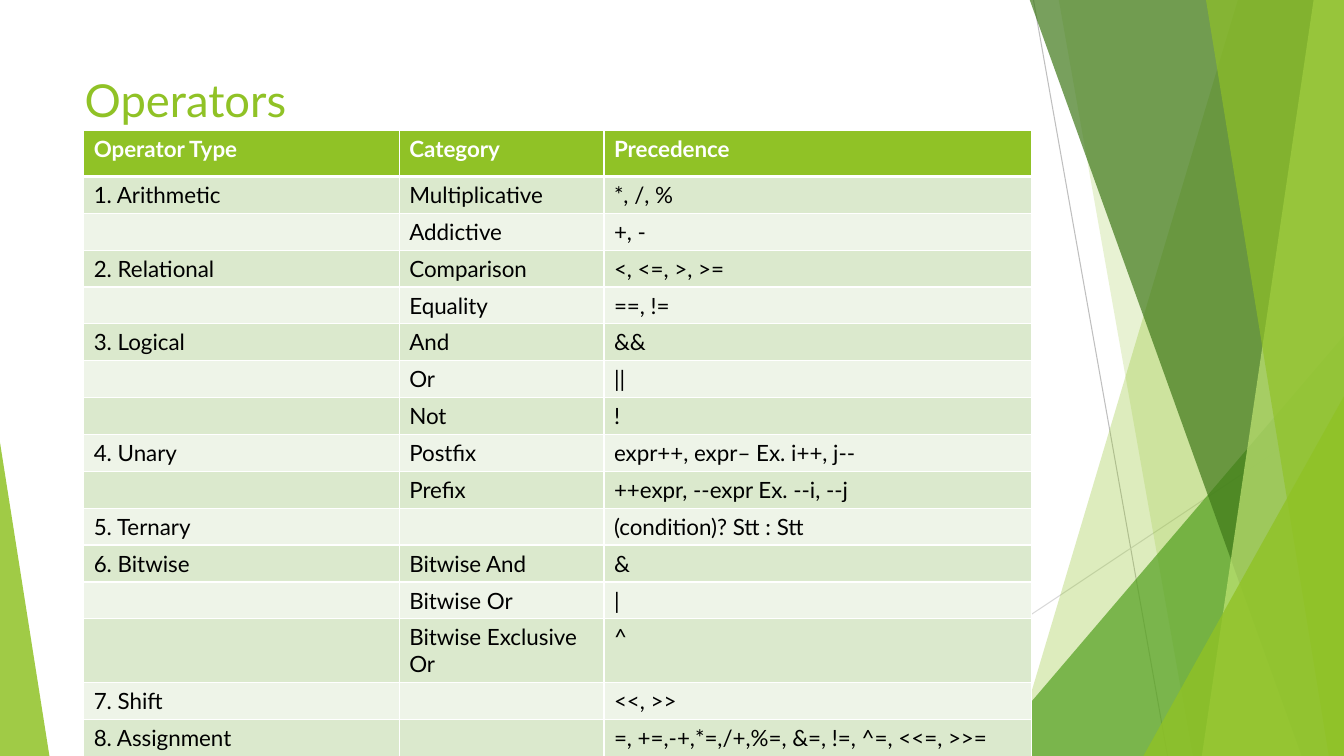
from dataclasses import dataclass

from lxml.etree import SubElement
from pptx import Presentation
from pptx.dml.color import RGBColor
from pptx.enum.shapes import MSO_CONNECTOR, MSO_SHAPE
from pptx.enum.text import MSO_ANCHOR, MSO_AUTO_SIZE, PP_ALIGN
from pptx.oxml.ns import qn
from pptx.util import Inches, Pt


@dataclass(frozen=True)
class Theme:
    font: str = "Lato"
    green: str = "90C226"
    leaf: str = "54A021"
    dark: str = "3F7819"
    lime: str = "C0E474"
    white: str = "FFFFFF"
    black: str = "000000"
    bands: tuple = ("DBE9CD", "EEF4E8")
    lines: tuple = ("BFBFBF", "D9D9D9")
    title: float = 32.4
    body: float = 16


THEME = Theme()
WIDE, HIGH = 13.33, 7.5
TOP = -0.01

COLS = (3.13, 2.03, 4.24)
HEAD = ("Operator Type", "Category", "Precedence")
ROWS = (
    ("1. Arithmetic", "Multiplicative", "*, /, %"),
    ("", "Addictive", "+, -"),
    ("2. Relational", "Comparison", "<, <=, >, >="),
    ("", "Equality", "==, !="),
    ("3. Logical", "And", "&&"),
    ("", "Or", "||"),
    ("", "Not", "!"),
    ("4. Unary", "Postfix", "expr++, expr– Ex. i++, j--"),
    ("", "Prefix", "++expr, --expr Ex. --i, --j"),
    ("5. Ternary", "", "(condition)? Stt : Stt"),
    ("6. Bitwise", "Bitwise And", "&"),
    ("", "Bitwise Or", "|"),
    ("", "Bitwise Exclusive Or", "^"),
    ("7. Shift", "", "<<, >>"),
    ("8. Assignment", "", "=, +=,-+,*=,/+,%=, &=, !=, ^=, <<=, >>="),
)
ROW = 0.35
TALL = {0: 0.46, 13: 0.61, 15: 0.57}


def style(text, size, color, bold=False):
    for run in text.paragraphs[0].runs:
        font = run.font
        font.name, font.size, font.bold = THEME.font, Pt(size), bold
        font.color.rgb = RGBColor.from_string(color)


def paint(shape, color, alpha):
    """Fill a shape with a see-through colour and no outline."""
    shape.shadow.inherit = False
    shape.line.fill.background()
    shape.fill.solid()
    shape.fill.fore_color.rgb = RGBColor.from_string(color)
    tint = shape.element.spPr.find(qn("a:solidFill"))[0]
    SubElement(tint, qn("a:alpha"), val=str(alpha * 1000))


def add_line(slide, start, end, color):
    ends = [Inches(v) for v in (*start, *end)]
    line = slide.shapes.add_connector(MSO_CONNECTOR.STRAIGHT, *ends)
    line.line.color.rgb = RGBColor.from_string(color)
    line.line.width = Pt(0.75)
    SubElement(line.element.spPr, qn("a:effectLst"))


def add_band(slide, upper, lower, color, alpha):
    """Add a slanted band that runs to the right edge of the slide."""
    pen = slide.shapes.build_freeform(Inches(upper), Inches(TOP))
    rest = ((WIDE, TOP), (WIDE, HIGH), (lower, HIGH))
    pen.add_line_segments([(Inches(x), Inches(y)) for x, y in rest])
    paint(pen.convert_to_shape(), color, alpha)


def add_wedge(slide, left, top, width, tip, color, alpha):
    """Add a triangle that stands on the bottom edge of the slide."""
    box = [Inches(v) for v in (left, top, width, HIGH - top)]
    wedge = slide.shapes.add_shape(MSO_SHAPE.ISOSCELES_TRIANGLE, *box)
    wedge.adjustments[0] = tip
    paint(wedge, color, alpha)


def add_decor(slide):
    add_line(slide, (10.25, 0), (11.58, HIGH), THEME.lines[0])
    add_line(slide, (WIDE, 4.03), (8.12, HIGH), THEME.lines[1])
    add_band(slide, 12.28, 10.04, THEME.green, 30)
    add_band(slide, 10.5, 11.83, THEME.green, 20)
    add_wedge(slide, 9.77, 3.33, 3.56, 1, THEME.leaf, 72)
    add_band(slide, 10.21, 12.91, THEME.dark, 70)
    add_band(slide, 13.03, 11.92, THEME.lime, 70)
    add_band(slide, 11.96, 13.18, THEME.green, 65)
    add_wedge(slide, 11.34, 3.93, 1.99, 1, THEME.green, 80)
    add_wedge(slide, 0, 4.39, 0.49, 0, THEME.green, 85)


def add_title(slide, words):
    title = slide.shapes.title
    title.left, title.top = Inches(0.74), Inches(0.67)
    title.width, title.height = Inches(9.4), Inches(0.62)
    text = title.text_frame
    text.text = words
    text.word_wrap = True
    text.auto_size = MSO_AUTO_SIZE.NONE
    text.vertical_anchor = MSO_ANCHOR.TOP
    text.paragraphs[0].alignment = PP_ALIGN.LEFT
    style(text, THEME.title, THEME.green)
    # Bring the title in front of the decor
    title.element.getparent().append(title.element)


def add_edges(cell, row):
    """Give a cell white borders, thick between header and body."""
    props = cell._tc.get_or_add_tcPr()
    thick = {"T": 3 if row == 1 else 1, "B": 3 if row == 0 else 1}
    for side in "LRTB":
        width = str(Pt(thick.get(side, 1)))
        edge = SubElement(props, qn(f"a:ln{side}"), w=width)
        fill = SubElement(edge, qn("a:solidFill"))
        SubElement(fill, qn("a:srgbClr"), val=THEME.white)


def fill_cell(cell, words, row):
    head = row == 0
    add_edges(cell, row)
    cell.fill.solid()
    shade = THEME.green if head else THEME.bands[(row - 1) % 2]
    cell.fill.fore_color.rgb = RGBColor.from_string(shade)
    text = cell.text_frame
    text.text = words
    style(text, THEME.body, THEME.white if head else THEME.black, head)
    if not words:
        # An empty cell still needs the type size, or its row grows
        mark = SubElement(text.paragraphs[0]._p, qn("a:endParaRPr"),
                          sz=str(THEME.body * 100))
        SubElement(mark, qn("a:latin"), typeface=THEME.font)


def add_grid(slide):
    lines = (HEAD, *ROWS)
    highs = [TALL.get(i, ROW) for i in range(len(lines))]
    box = [Inches(v) for v in (0.83, 1.29, sum(COLS), sum(highs))]
    table = slide.shapes.add_table(len(lines), len(COLS), *box).table
    for col, width in zip(table.columns, COLS):
        col.width = Inches(width)
    for i, words in enumerate(lines):
        table.rows[i].height = Inches(highs[i])
        for j, word in enumerate(words):
            fill_cell(table.cell(i, j), word, i)


def main():
    deck = Presentation()
    deck.slide_width, deck.slide_height = Inches(WIDE), Inches(HIGH)
    slide = deck.slides.add_slide(deck.slide_layouts[5])
    add_decor(slide)
    add_title(slide, "Operators")
    add_grid(slide)
    deck.save("out.pptx")


if __name__ == "__main__":
    main()
